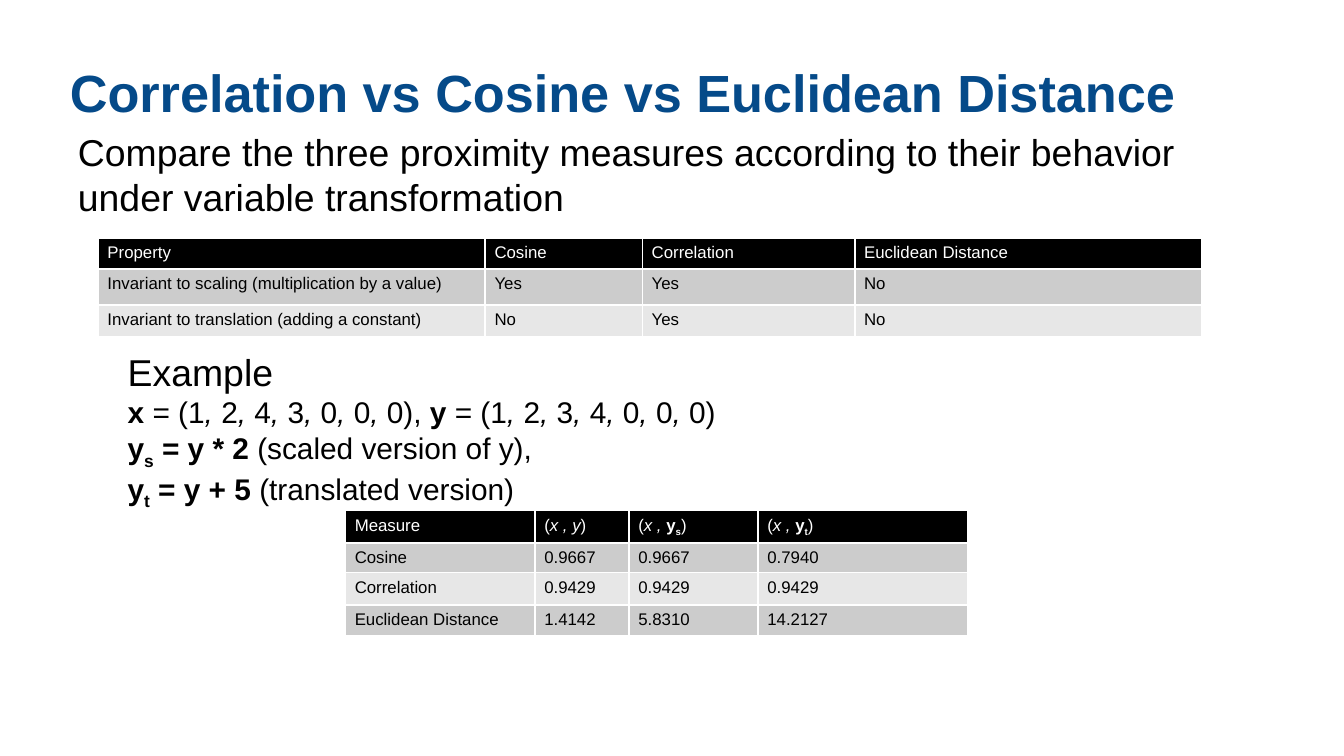
from dataclasses import dataclass

from lxml.etree import SubElement
from pptx import Presentation
from pptx.dml.color import RGBColor as Color
from pptx.enum.text import MSO_ANCHOR as Anchor, MSO_AUTO_SIZE as AutoSize, PP_ALIGN as Align
from pptx.oxml.ns import qn
from pptx.util import Inches, Pt


@dataclass(frozen=True)
class Theme:
    font: str = "Arial"
    title: str = "054A89"
    text: str = "000000"
    header: str = "000000"
    header_text: str = "FFFFFF"
    bands: tuple = ("CCCCCC", "E7E7E7")
    border: str = "FFFFFF"
    title_size: float = 28
    body_size: float = 20
    example_size: float = 16
    table_size: float = 9


THEME = Theme()
SLIDE = (10, 10 * 9 / 16)


def vector(name, values):
    runs = [(f"{name} ", "b"), ("= (", "")]
    for index, value in enumerate(values):
        if index:
            runs.append((", ", "i"))
        runs.append((str(value), ""))
    return runs + [(")", "")]


def pair(subscript):
    return [("(", ""), ("x , ", "i"), ("y", "b"), (subscript, "bs"), (")", "")]


TITLE = "Correlation vs Cosine vs Euclidean Distance"
INTRO = "Compare the three proximity measures according to their behavior under variable transformation"
EXAMPLES = [
    vector("x", (1, 2, 4, 3, 0, 0, 0)) + [(", ", "")] + vector("y", (1, 2, 3, 4, 0, 0, 0)),
    [("y", "b"), ("s", "bs"), (" = y * 2 ", "b"), ("(scaled version of y),", "")],
    [("y", "b"), ("t", "bs"), (" = y + 5 ", "b"), ("(translated version)", "")],
]
TABLES = [
    {
        "at": (0.73, 1.77),
        "columns": (2.88, 1.17, 1.58, 2.58),
        "rows": (0.23, 0.27, 0.24),
        "cells": [
            ["Property", "Cosine", "Correlation", "Euclidean Distance"],
            ["Invariant to scaling (multiplication by a value)", "Yes", "Yes", "No"],
            ["Invariant to translation (adding a constant)", "No", "Yes", "No"],
        ],
    },
    {
        "at": (2.57, 3.8),
        "columns": (1.41, 0.7, 0.96, 1.56),
        "rows": (0.23, 0.22, 0.24, 0.23),
        "cells": [
            ["Measure", [("(", ""), ("x , y", "i"), (")", "")], pair("s"), pair("t")],
            ["Cosine", "0.9667", "0.9667", "0.7940"],
            ["Correlation", "0.9429", "0.9429", "0.9429"],
            ["Euclidean Distance", "1.4142", "5.8310", "14.2127"],
        ],
    },
]


def write(paragraph, content, size, color, style=""):
    runs = [(content, style)] if isinstance(content, str) else content
    for text, marks in runs:
        run = paragraph.add_run()
        run.text = text
        font = run.font
        font.name, font.size = THEME.font, Pt(size)
        font.color.rgb = Color.from_string(color)
        font.bold, font.italic = "b" in marks, "i" in marks
        if "s" in marks:
            run._r.get_or_add_rPr().set("baseline", "-25000")


def place(shape, left, top, width, height):
    shape.left, shape.top = Inches(left), Inches(top)
    shape.width, shape.height = Inches(width), Inches(height)
    frame = shape.text_frame
    frame.word_wrap, frame.auto_size = True, AutoSize.NONE
    frame.vertical_anchor = Anchor.TOP
    return frame


def add_body_line(paragraph, content, size, indent=0, level=0, gap=0):
    paragraph.level = level
    paragraph.alignment = Align.LEFT
    paragraph.line_spacing = 1.0
    paragraph.space_before, paragraph.space_after = Pt(gap), Pt(0)
    properties = paragraph._p.get_or_add_pPr()
    properties.set("marL", str(Inches(indent)))
    properties.set("indent", "0")
    SubElement(properties, qn("a:buNone"))
    write(paragraph, content, size, THEME.text)


def set_borders(cell):
    properties = cell._tc.get_or_add_tcPr()
    for index, side in enumerate(("lnL", "lnR", "lnT", "lnB")):
        line = properties.makeelement(qn(f"a:{side}"), {"w": str(Pt(1))})
        fill = SubElement(line, qn("a:solidFill"))
        SubElement(fill, qn("a:srgbClr"), val=THEME.border)
        properties.insert(index, line)


def add_table(slide, at, columns, rows, cells):
    size = (sum(columns), sum(rows))
    table = slide.shapes.add_table(len(rows), len(columns), *map(Inches, at + size)).table
    for column, width in zip(table.columns, columns):
        column.width = Inches(width)
    for index, (row, height, contents) in enumerate(zip(table.rows, rows, cells)):
        row.height = Inches(height)
        header = index == 0
        fill = THEME.header if header else THEME.bands[(index - 1) % 2]
        color = THEME.header_text if header else THEME.text
        for cell, content in zip(row.cells, contents):
            cell.margin_left = cell.margin_right = Inches(0.07)
            cell.margin_top = cell.margin_bottom = Inches(0.04)
            cell.fill.solid()
            cell.fill.fore_color.rgb = Color.from_string(fill)
            set_borders(cell)
            write(cell.text_frame.paragraphs[0], content, THEME.table_size, color)


def main():
    presentation = Presentation()
    presentation.slide_width, presentation.slide_height = map(Inches, SLIDE)
    slide = presentation.slides.add_slide(presentation.slide_layouts[1])

    title = place(slide.shapes.title, 0.46, 0.47, 9.07, 0.55)
    title.margin_left = title.margin_right = Inches(0.06)
    title.margin_top = title.margin_bottom = Inches(0.03)
    heading = title.paragraphs[0]
    heading.alignment, heading.line_spacing = Align.LEFT, 0.9
    write(heading, TITLE, THEME.title_size, THEME.title, "b")

    body = place(slide.placeholders[1], 0.48, 0.91, 8.72, 4.25)
    add_body_line(body.paragraphs[0], INTRO, THEME.body_size)
    add_body_line(body.add_paragraph(), "Example", THEME.body_size, indent=0.37, gap=70)
    for example in EXAMPLES:
        add_body_line(body.add_paragraph(), example, THEME.example_size, indent=0.37, level=1)

    for table in TABLES:
        add_table(slide, **table)
    presentation.save("out.pptx")


if __name__ == "__main__":
    main()
